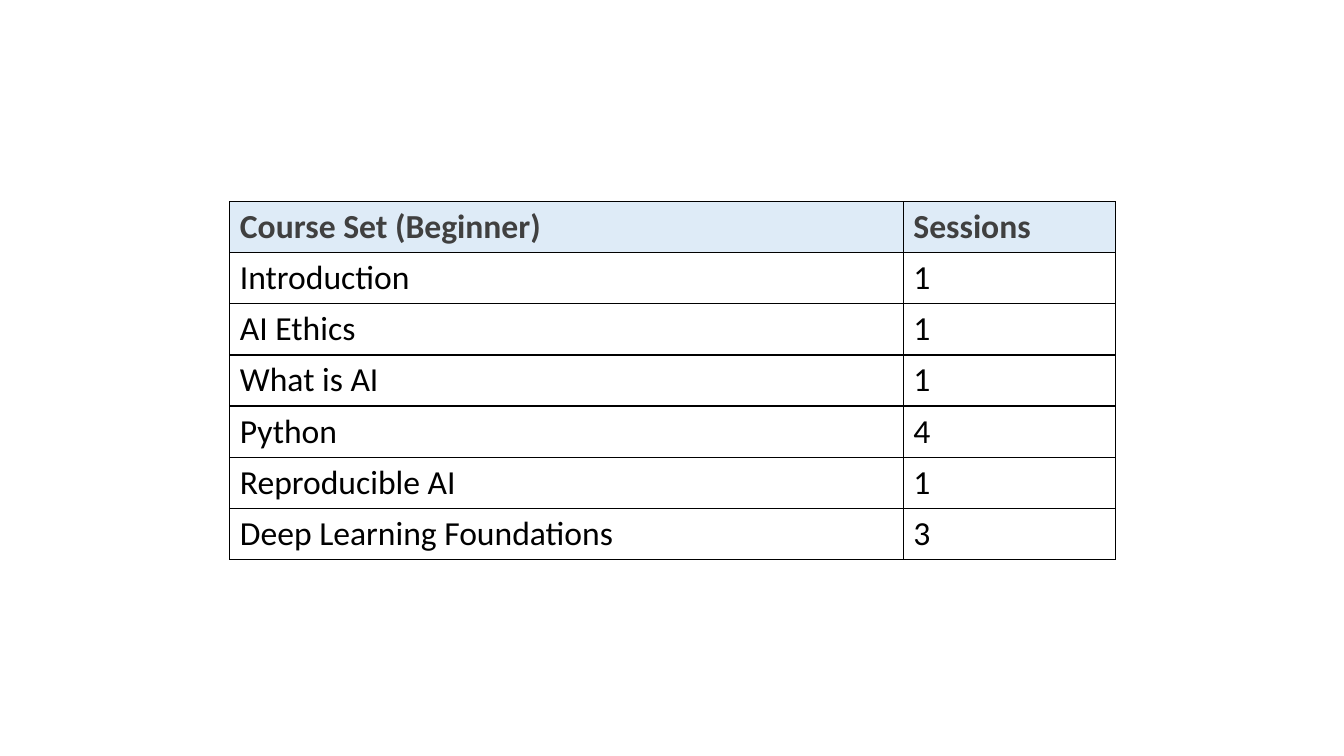
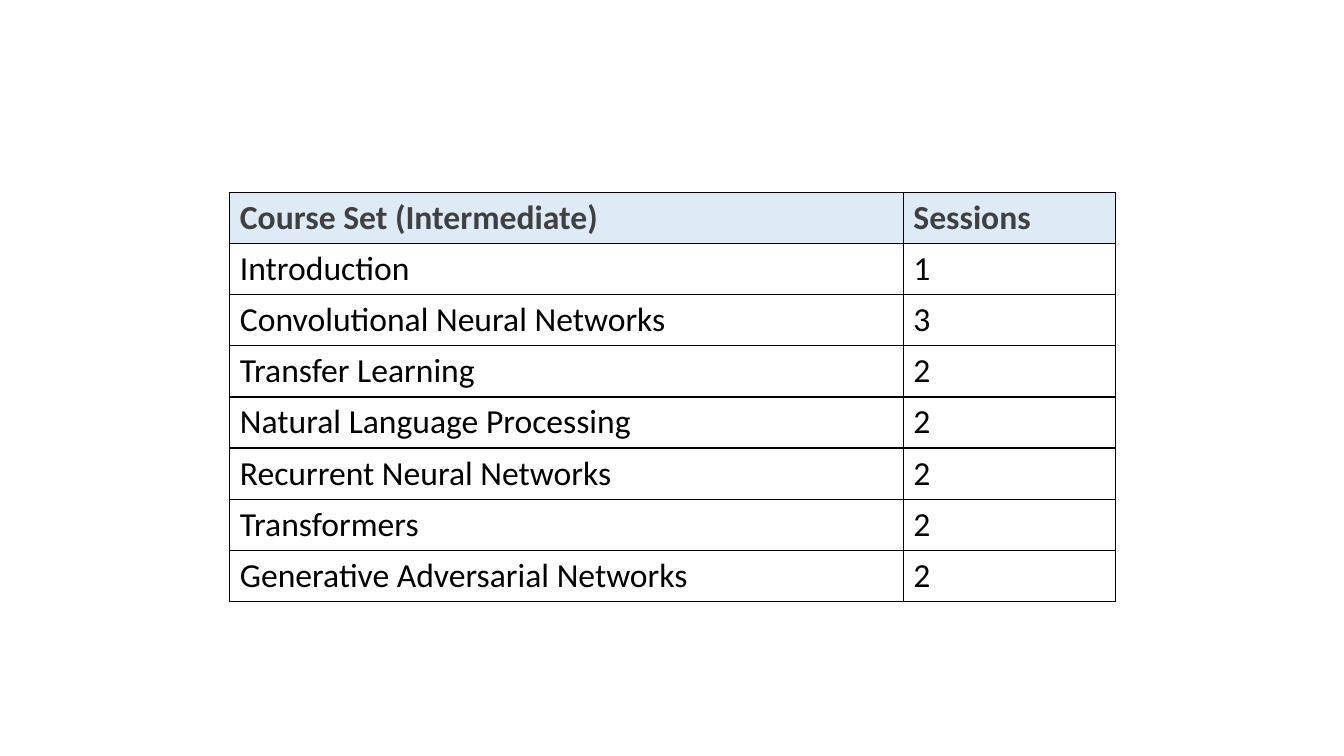
"""Builds two slides, each with a course table of topics and session counts."""
import pptx
import pptx.dml.color
import pptx.oxml
import pptx.oxml.ns
import pptx.util

Inches = pptx.util.Inches
RGBColor = pptx.dml.color.RGBColor

COURSES = [
    {
        "title": "Course Set (Beginner)",
        "top": 2,
        "topics": [
            ("Introduction", 1),
            ("AI Ethics", 1),
            ("What is AI", 1),
            ("Python", 4),
            ("Reproducible AI", 1),
            ("Deep Learning Foundations", 3),
        ],
    },
    {
        "title": "Course Set (Intermediate)",
        "top": 1.91,
        "topics": [
            ("Introduction", 1),
            ("Convolutional Neural Networks", 3),
            ("Transfer Learning", 2),
            ("Natural Language Processing", 2),
            ("Recurrent Neural Networks", 2),
            ("Transformers", 2),
            ("Generative Adversarial Networks", 2),
        ],
    },
]

BLACK = RGBColor(0x00, 0x00, 0x00)
DARK_GRAY = RGBColor(0x40, 0x40, 0x40)
PALE_BLUE = RGBColor(0xDE, 0xEB, 0xF7)

TABLE_LEFT = 2.28
COLUMN_WIDTHS = (6.68, 2.1)
ROW_HEIGHT = 0.45
BORDER_WIDTH = pptx.util.Pt(1)
BASE_FONT = {"name": "Calibri", "size": pptx.util.Pt(24)}
HEADER_FONT = {**BASE_FONT, "bold": True}
BODY_FONT = {**BASE_FONT, "bold": False}


def add_borders(cell):
    """Draw a thin black line on all four sides of a cell."""
    properties = cell._tc.get_or_add_tcPr()
    for position, side in enumerate(("lnL", "lnR", "lnT", "lnB")):
        line = pptx.oxml.parse_xml(
            f'<a:{side} {pptx.oxml.ns.nsdecls("a")} w="{BORDER_WIDTH}">'
            f'<a:solidFill><a:srgbClr val="{BLACK}"/></a:solidFill></a:{side}>'
        )
        properties.insert(position, line)


def fill_cell(cell, text, is_header):
    """Write and format one cell."""
    para = cell.text_frame.paragraphs[0]
    span = para.add_run()
    span.text = str(text)
    for name, value in (HEADER_FONT if is_header else BODY_FONT).items():
        setattr(span.font, name, value)
    span.font.color.rgb = DARK_GRAY if is_header else BLACK
    if is_header:
        cell.fill.solid()
        cell.fill.fore_color.rgb = PALE_BLUE
    else:
        cell.fill.background()
    add_borders(cell)


def add_course(deck, course):
    """Add a slide with the table of one course."""
    page = deck.slides.add_slide(deck.slide_layouts.get_by_name("Blank"))
    rows = [(course["title"], "Sessions"), *course["topics"]]
    table = page.shapes.add_table(
        len(rows), len(COLUMN_WIDTHS),
        Inches(TABLE_LEFT), Inches(course["top"]),
        Inches(sum(COLUMN_WIDTHS)), Inches(ROW_HEIGHT * len(rows)),
    ).table
    table.horz_banding = False
    for column, width in zip(table.columns, COLUMN_WIDTHS):
        column.width = Inches(width)
    for row_index, row in enumerate(rows):
        for column_index, text in enumerate(row):
            fill_cell(table.cell(row_index, column_index), text, row_index == 0)


def main():
    """Build and save the deck."""
    deck = pptx.Presentation()
    deck.slide_width, deck.slide_height = Inches(13.33), Inches(7.5)
    for course in COURSES:
        add_course(deck, course)
    deck.save("out.pptx")


if __name__ == "__main__":
    main()
